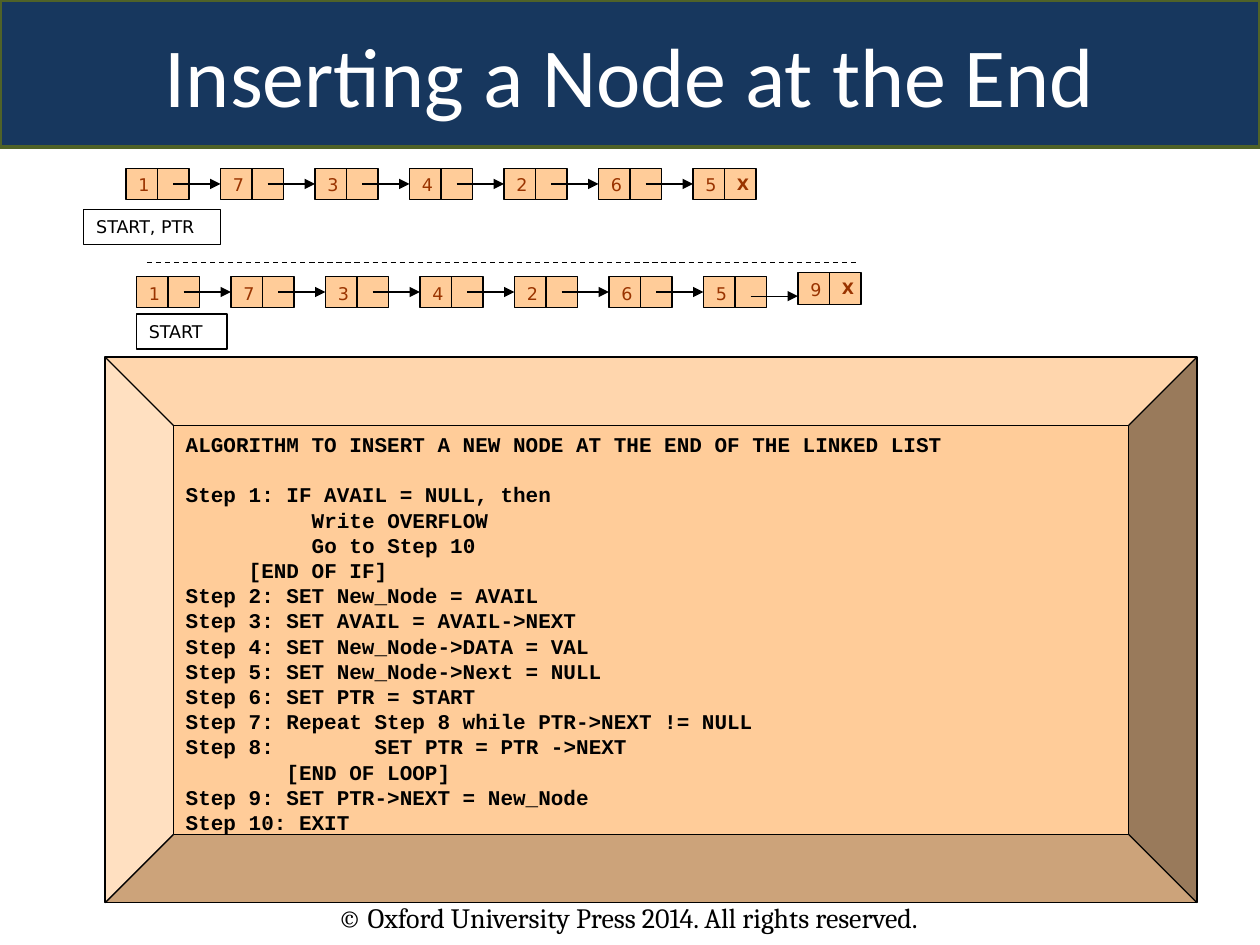
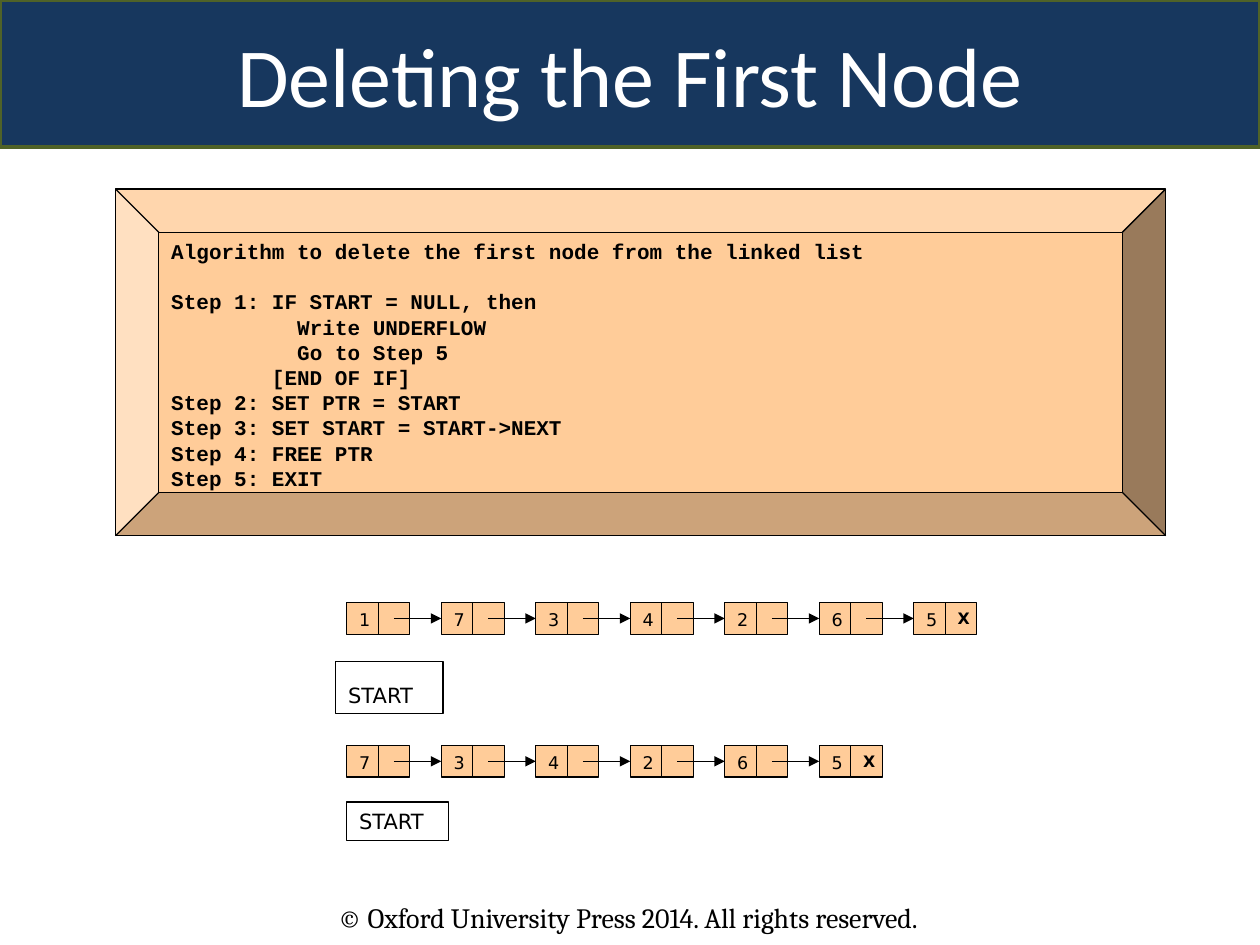
from lxml.etree import SubElement
from pptx import Presentation
from pptx.dml.color import RGBColor
from pptx.enum.dml import MSO_LINE
from pptx.enum.shapes import MSO_CONNECTOR, MSO_SHAPE
from pptx.enum.text import MSO_ANCHOR, MSO_AUTO_SIZE, PP_ALIGN
from pptx.oxml.ns import qn
from pptx.util import Cm, Pt

BLACK = RGBColor(0x00, 0x00, 0x00)
WHITE = RGBColor(0xFF, 0xFF, 0xFF)
NAVY = RGBColor(0x17, 0x37, 0x5E)
OLIVE = RGBColor(0x4F, 0x62, 0x28)
PEACH = RGBColor(0xFF, 0xCC, 0x99)
RUST = RGBColor(0x99, 0x33, 0x00)

TITLE_FONT = "Calibri"
FOOTER_FONT = "Cambria"
CODE_FONT = "Courier New"
LABEL_FONT = "DejaVu Sans"

SLIDE_WIDTH = Cm(25.4)
SLIDE_HEIGHT = Cm(19.05)
LINE_WIDTH = Pt(0.75)
CODE_LINE = Pt(14.4)
NODE_PITCH = Cm(3.81) // 2
CELL = NODE_PITCH // 3
FOOTER = "© Oxford University Press 2014. All rights reserved."

INSERT_ALGORITHM = """\
ALGORITHM TO INSERT A NEW NODE AT THE END OF THE LINKED LIST
Step 1: IF AVAIL = NULL, then
\t\tWrite OVERFLOW
\t\tGo to Step 10
\t[END OF IF]
Step 2: SET New_Node = AVAIL
Step 3: SET AVAIL = AVAIL->NEXT
Step 4: SET New_Node->DATA = VAL
Step 5: SET New_Node->Next = NULL
Step 6: SET PTR = START
Step 7: Repeat Step 8 while PTR->NEXT != NULL
Step 8: \t\tSET PTR = PTR ->NEXT
        [END OF LOOP]
Step 9: SET PTR->NEXT = New_Node
Step 10: EXIT"""

DELETE_ALGORITHM = """\
Algorithm to delete the first node from the linked list
Step 1: IF START = NULL, then
\t\tWrite UNDERFLOW
\t\tGo to Step 5
        [END OF IF]
Step 2: SET PTR = START
Step 3: SET START = START->NEXT
Step 4: FREE PTR
Step 5: EXIT"""


def write_text(shape, text, *, font=LABEL_FONT, size=10, color=BLACK, bold=False,
               align=PP_ALIGN.LEFT, anchor=MSO_ANCHOR.TOP):
    frame = shape.text_frame
    frame.word_wrap = True
    frame.auto_size = MSO_AUTO_SIZE.NONE
    frame.vertical_anchor = anchor
    frame.text = text
    for paragraph in frame.paragraphs:
        paragraph.alignment = align
        paragraph.font.name = font
        paragraph.font.size = Pt(size)
        paragraph.font.bold = bold
        paragraph.font.color.rgb = color


def add_box(shapes, left, top, width, height, *, kind=MSO_SHAPE.RECTANGLE, fill=None):
    box = shapes.add_shape(kind, left, top, width, height)
    box.shadow.inherit = False
    if fill is None:
        box.fill.background()
    else:
        box.fill.solid()
        box.fill.fore_color.rgb = fill
    box.line.color.rgb = BLACK
    box.line.width = LINE_WIDTH
    return box


def add_line(shapes, start, end, y):
    """Add a horizontal black line without a shadow."""
    line = shapes.add_connector(MSO_CONNECTOR.STRAIGHT, start, y, end, y)
    line.line.color.rgb = BLACK
    line.line.width = LINE_WIDTH
    SubElement(line.element.spPr, qn("a:effectLst"))
    return line


def add_arrow(shapes, start, end, y):
    arrow = add_line(shapes, start, end, y)
    outline = arrow.element.spPr.find(qn("a:ln"))
    SubElement(outline, qn("a:tailEnd"), type="triangle")
    return arrow


def add_node(shapes, left, top, value, color, last=False):
    """Add a data cell and a link cell, and return the data cell."""
    data = add_box(shapes, left, top, CELL, CELL, fill=PEACH)
    write_text(data, value, color=color)
    link = add_box(shapes, left + CELL, top, CELL, CELL, fill=PEACH)
    if last:
        write_text(link, "X", size=9, color=color, bold=True)
    return data


def add_linked_list(slide, left, top, values, color=BLACK, closed=True):
    """Add a grouped chain of nodes; a closed chain ends with X."""
    shapes = slide.shapes.add_group_shape().shapes
    for index, value in enumerate(values):
        node_left = left + index * NODE_PITCH
        last = closed and index == len(values) - 1
        data = add_node(shapes, node_left, top, value, color, last)
        if index:
            link_center = node_left - NODE_PITCH + CELL * 3 // 2
            arrow = add_arrow(shapes, link_center, node_left, top + CELL // 2)
            arrow.end_connect(data, 1)
    return shapes


def add_label(slide, text, left, top, width, height, *, size=10, anchor=MSO_ANCHOR.MIDDLE):
    label = add_box(slide.shapes, left, top, width, height)
    write_text(label, text, size=size, anchor=anchor)


def add_algorithm(slide, text, left, top, width, height):
    panel = add_box(slide.shapes, left, top, width, height,
                    kind=MSO_SHAPE.BEVEL, fill=PEACH)
    panel.adjustments[0] = 0.125
    write_text(panel, text, font=CODE_FONT, size=12, bold=True)
    panel.text_frame.paragraphs[1].space_before = CODE_LINE


def add_slide(presentation, title_text):
    """Add a slide with the title band and the footer."""
    slide = presentation.slides.add_slide(presentation.slide_layouts[5])
    footer = slide.shapes.add_textbox(Cm(6.56), Cm(18.03), Cm(15.03), Cm(0.94))
    write_text(footer, FOOTER, font=FOOTER_FONT, size=16)
    title = slide.shapes.title
    title.left, title.top = Cm(0), Cm(0)
    title.width, title.height = SLIDE_WIDTH, Cm(2.96)
    title.fill.solid()
    title.fill.fore_color.rgb = NAVY
    title.line.color.rgb = OLIVE
    title.line.width = Pt(2)
    write_text(title, title_text, font=TITLE_FONT, size=48, color=WHITE,
               align=PP_ALIGN.CENTER, anchor=MSO_ANCHOR.MIDDLE)
    return slide


def build_insert_slide(presentation):
    slide = add_slide(presentation, "Inserting a Node at the End")
    values = "1734265"
    add_linked_list(slide, Cm(2.54), Cm(3.39), values, RUST)
    add_label(slide, "START, PTR", Cm(1.69), Cm(4.22), Cm(2.75), Cm(0.71))
    divider = add_line(slide.shapes, Cm(2.96), Cm(17.25), Cm(5.29))
    divider.line.dash_style = MSO_LINE.DASH

    list_left = Cm(2.75)
    shapes = add_linked_list(slide, list_left, Cm(5.57), values, RUST, closed=False)
    new_left = list_left + len(values) * NODE_PITCH
    add_node(shapes, new_left, Cm(5.5), "9", RUST, last=True)
    add_arrow(shapes, new_left - CELL * 3 // 2, new_left, Cm(5.97))
    add_label(slide, "START", list_left, Cm(6.33), Cm(1.83), Cm(0.71))
    add_algorithm(slide, INSERT_ALGORITHM, Cm(2.12), Cm(7.2), Cm(22.01), Cm(11))


def build_delete_slide(presentation):
    slide = add_slide(presentation, "Deleting the First Node")
    add_algorithm(slide, DELETE_ALGORITHM, Cm(2.33), Cm(3.81), Cm(21.17), Cm(6.99))
    list_left = Cm(6.99)
    add_linked_list(slide, list_left, Cm(12.15), "1734265")
    add_linked_list(slide, list_left, Cm(15.03), "734265")
    add_label(slide, "START", Cm(6.77), Cm(13.34), Cm(2.16), Cm(1.05),
              size=12, anchor=MSO_ANCHOR.BOTTOM)
    add_label(slide, "START", list_left, Cm(16.17), Cm(2.06), Cm(0.77), size=12)


def main():
    presentation = Presentation()
    presentation.slide_width = SLIDE_WIDTH
    presentation.slide_height = SLIDE_HEIGHT
    build_insert_slide(presentation)
    build_delete_slide(presentation)
    presentation.save("out.pptx")


if __name__ == "__main__":
    main()
